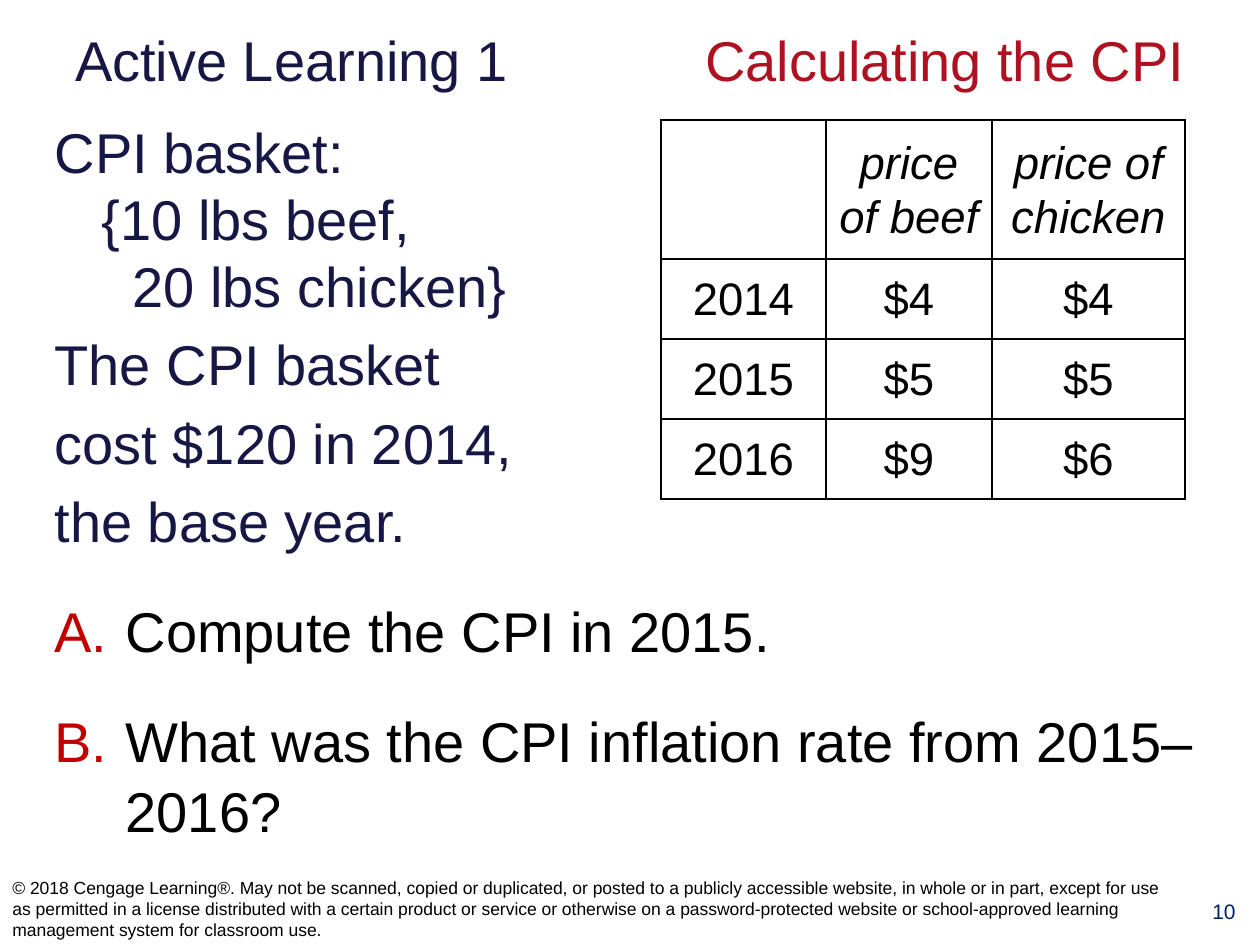
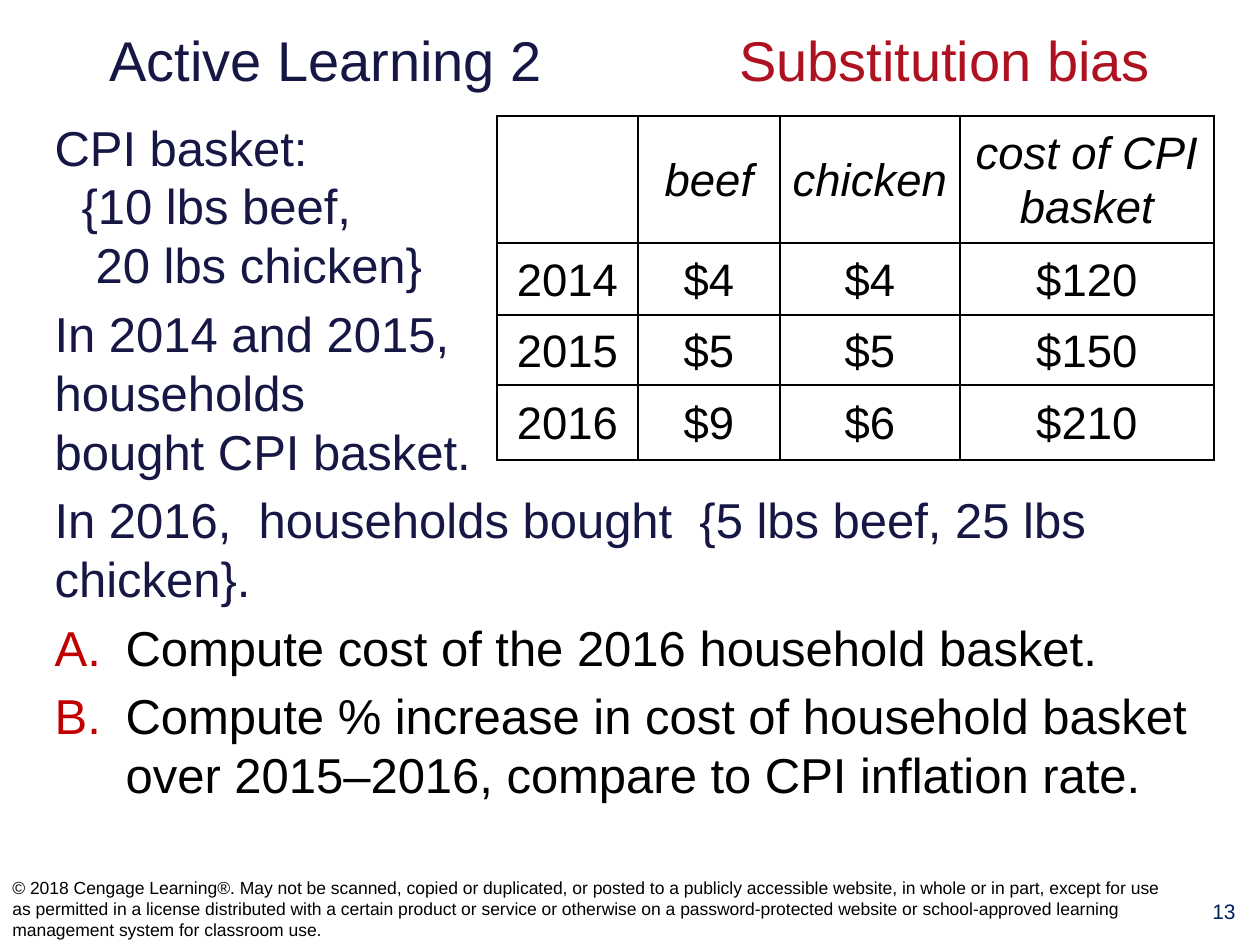
from dataclasses import dataclass

from lxml.etree import SubElement
from pptx import Presentation
from pptx.dml.color import RGBColor
from pptx.enum.text import MSO_ANCHOR, MSO_AUTO_SIZE, PP_ALIGN
from pptx.oxml.ns import qn
from pptx.util import Emu, Pt


@dataclass(frozen=True)
class Theme:
    font: str = "Arial"
    navy: str = "171745"
    red: str = "AE1221"
    mark: str = "C00000"
    page: str = "002060"
    black: str = "000000"
    white: str = "FFFFFF"
    head: int = 32
    cell: int = 26
    num: int = 12
    note: int = 10


THEME = Theme()
WIDE, HIGH = 1260, 945
TITLE = (21, 14, 1218, 91)
BODY = (42, 105, 1197, 784)
NOTE = (0, 872, 1186, 73)
PAGE = (1188, 892, 72, 52)
TAB = 630
HANG = 71
RIGHTS = (
    "© 2018 Cengage Learning®. May not be scanned, copied or duplicated, "
    "or posted to a publicly accessible website, in whole or in part, except "
    "for use as permitted in a license distributed with a certain product or "
    "service or otherwise on a password-protected website or school-approved "
    "learning management system for classroom use."
)


def px(n):
    return Emu(round(n * 914400 / 126))


def place(shape, box):
    shape.left, shape.top, shape.width, shape.height = map(px, box)


def write(par, text, size, color=THEME.black, italic=False, align=PP_ALIGN.LEFT,
          line=None, before=0):
    """Append text to a paragraph; each newline becomes a line break."""
    par.alignment = align
    par.space_before = Pt(before)
    if line:
        par.line_spacing = line
    for i, part in enumerate(text.split("\n")):
        if i:
            par.add_line_break()
        run = par.add_run()
        run.text = part
        font = run.font
        font.name, font.size, font.italic = THEME.font, Pt(size), italic
        font.color.rgb = RGBColor.from_string(color)


def indent(par, left, letter=False):
    """Set the left margin, with a hanging letter or with no bullet."""
    props = par._p.get_or_add_pPr()
    props.set("marL", str(px(left)))
    props.set("indent", str(px(-left if letter else 0)))
    if letter:
        tint = SubElement(props, qn("a:buClr"))
        SubElement(tint, qn("a:srgbClr"), val=THEME.mark)
        SubElement(props, qn("a:buAutoNum"), type="alphaUcPeriod")
    else:
        SubElement(props, qn("a:buNone"))


def add_title(slide, label, topic):
    shape = slide.shapes.title
    place(shape, TITLE)
    frame = shape.text_frame
    frame.auto_size = MSO_AUTO_SIZE.NONE
    frame.word_wrap = False
    frame.vertical_anchor = MSO_ANCHOR.MIDDLE
    par = frame.paragraphs[0]
    tabs = SubElement(par._p.get_or_add_pPr(), qn("a:tabLst"))
    SubElement(tabs, qn("a:tab"), pos=str(px(TAB)), algn="l")
    for text, color in ((label + "\t", THEME.navy), (topic, THEME.red)):
        write(par, text, THEME.head, color, align=PP_ALIGN.CENTER)


def add_body(slide, size, basket, facts, tasks, gap=0.2, line=None):
    """Basket lines are (text, indent); gap is a share of the type size."""
    shape = slide.placeholders[1]
    place(shape, BODY)
    frame = shape.text_frame
    frame.auto_size = MSO_AUTO_SIZE.NONE
    frame.word_wrap = True
    frame.margin_top = px(12)
    rows = [(text, left, False, 0) for text, left in basket]
    rows += [(text, 0, False, 0.2) for text in facts]
    rows += [(text, HANG, True, gap) for text in tasks]
    for i, (text, left, letter, share) in enumerate(rows):
        par = frame.add_paragraph() if i else frame.paragraphs[0]
        indent(par, left, letter)
        write(par, text, size, THEME.black if letter else THEME.navy,
              line=line if letter else None, before=round(share * size, 1))


def add_text(slide, box, text, size, anchor=MSO_ANCHOR.TOP, **form):
    shape = slide.shapes.add_textbox(*map(px, box))
    frame = shape.text_frame
    frame.word_wrap = True
    frame.vertical_anchor = anchor
    write(frame.paragraphs[0], text, size, **form)


def add_foot(slide, page):
    add_text(slide, PAGE, page, THEME.num, color=THEME.page,
             align=PP_ALIGN.CENTER)
    add_text(slide, NOTE, RIGHTS, THEME.note, anchor=MSO_ANCHOR.MIDDLE)


def edge(cell):
    props = cell._tc.get_or_add_tcPr()
    for i, side in enumerate(("lnL", "lnR", "lnT", "lnB")):
        line = props.makeelement(qn("a:" + side), {"w": str(Pt(1))})
        fill = SubElement(line, qn("a:solidFill"))
        SubElement(fill, qn("a:srgbClr"), val=THEME.black)
        props.insert(i, line)


def add_grid(slide, left, top, cols, rows, data):
    frame = slide.shapes.add_table(len(rows), len(cols), px(left), px(top),
                                   px(sum(cols)), px(sum(rows)))
    table = frame.table
    table.first_row = table.horz_banding = False
    for col, width in zip(table.columns, cols):
        col.width = px(width)
    for r, (row, height) in enumerate(zip(table.rows, rows)):
        row.height = px(height)
        for cell, text in zip(row.cells, data[r]):
            cell.fill.solid()
            cell.fill.fore_color.rgb = RGBColor.from_string(THEME.white)
            cell.vertical_anchor = MSO_ANCHOR.MIDDLE
            cell.margin_left = cell.margin_right = px(10)
            edge(cell)
            if text:
                write(cell.text_frame.paragraphs[0], text, THEME.cell,
                      italic=r == 0, align=PP_ALIGN.CENTER, line=1.05)


def add_lesson(deck, label, topic, page, body, grid):
    slide = deck.slides.add_slide(deck.slide_layouts[1])
    add_title(slide, label, topic)
    add_body(slide, **body)
    add_foot(slide, page)
    add_grid(slide, **grid)


def main():
    deck = Presentation()
    deck.slide_width, deck.slide_height = px(WIDE), px(HIGH)
    add_lesson(
        deck, "Active Learning 1", "Calculating the CPI", "10",
        body=dict(
            size=THEME.head, gap=0.7, line=1.05,
            basket=[("CPI basket:", 0), ("{10 lbs beef,", 47),
                    ("20 lbs chicken}", 78)],
            facts=["The CPI basket", "cost $120 in 2014,", "the base year."],
            tasks=["Compute the CPI in 2015.",
                   "What was the CPI inflation rate from 2015–2016?"]),
        grid=dict(
            left=661, top=120, cols=[165, 166, 193], rows=[139, 80, 80, 80],
            data=[["", "price of beef", "price of chicken"],
                  ["2014", "$4", "$4"],
                  ["2015", "$5", "$5"],
                  ["2016", "$9", "$6"]]))
    add_lesson(
        deck, "Active Learning 2", "Substitution bias", "13",
        body=dict(
            size=28,
            basket=[("CPI basket:", 0), ("{10 lbs beef,", 27),
                    ("20 lbs chicken}", 41)],
            facts=["In 2014 and 2015,\nhouseholds\nbought CPI basket.",
                   "In 2016,  households bought  {5 lbs beef, 25 lbs chicken}."],
            tasks=["Compute cost of the 2016 household basket.",
                   "Compute % increase in cost of household basket over "
                   "2015–2016, compare to CPI inflation rate."]),
        grid=dict(
            left=497, top=116, cols=[141, 142, 180, 254], rows=[127, 72, 70, 75],
            data=[["", "beef", "chicken", "cost of CPI basket"],
                  ["2014", "$4", "$4", "$120"],
                  ["2015", "$5", "$5", "$150"],
                  ["2016", "$9", "$6", "$210"]]))
    deck.save("out.pptx")


if __name__ == "__main__":
    main()
